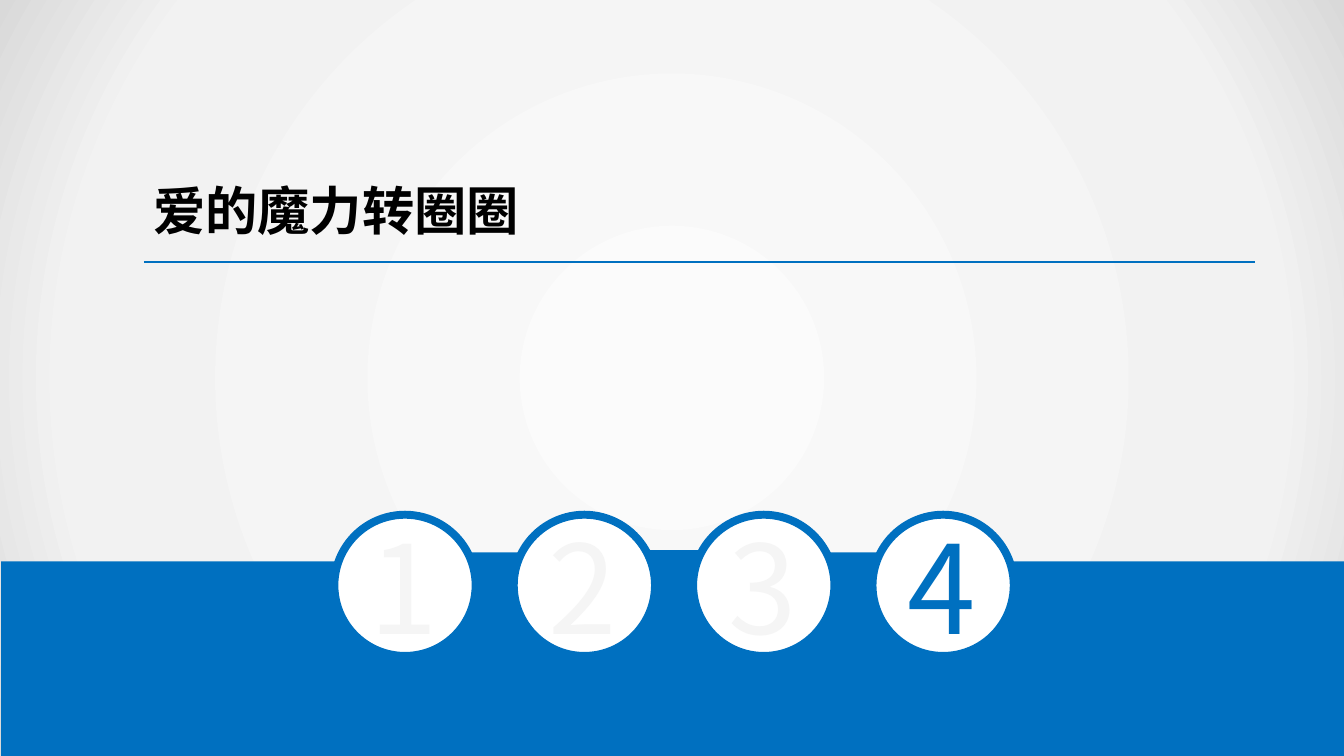
from dataclasses import dataclass
from pptx import Presentation, oxml, util as u
from pptx.dml.color import RGBColor
from pptx.enum import shapes, text
from pptx.oxml import ns


@dataclass
class Theme:
    blue = RGBColor.from_string("0070C0")
    white = RGBColor.from_string("FFFFFF")
    black = RGBColor.from_string("000000")
    pale = RGBColor.from_string("F5F5F5")
    base = RGBColor.from_string("F2F2F2")
    glow = ((0, "FBFBFB"), (79, "F2F2F2"), (100, "D9D9D9"))
    face = "Noto Sans CJK SC"
    title = u.Pt(28)
    digit = u.Pt(66)


def shape(kind, box, fill, line=None, width=0):
    item = slide.shapes.add_shape(kind, *map(u.Cm, box))
    item.shadow.inherit = False
    item.fill.solid()
    item.fill.fore_color.rgb = fill
    if line is None:
        item.line.fill.background()
    else:
        item.line.color.rgb = line
        item.line.width = u.Pt(width)
    return item


def label(words, box, color, font, frame):
    item = slide.shapes.add_textbox(*map(u.Cm, box))
    for name, value in frame.items():
        setattr(item.text_frame, name, value)
    run = item.text_frame.paragraphs[0].add_run()
    run.text = words
    for name, value in font.items():
        setattr(run.font, name, value)
    run.font.color.rgb = color
    east = oxml.parse_xml(f'<a:ea {ns.nsdecls("a")} typeface="{Theme.face}"/>')
    run.font._element.append(east)


wide, high = 25.4, 14.29
deck = Presentation()
deck.slide_width, deck.slide_height = u.Cm(wide), u.Cm(high)
slide = deck.slides.add_slide(deck.slide_layouts[6])
slide.background.fill.solid()
slide.background.fill.fore_color.rgb = Theme.base

rect, oval = shapes.MSO_SHAPE.RECTANGLE, shapes.MSO_SHAPE.OVAL
back = shape(rect, (0, 0, wide, high), Theme.base)
stops = "".join(
    f'<a:gs pos="{pos * 1000}"><a:srgbClr val="{color}"/></a:gs>'
    for pos, color in Theme.glow
)
glow = oxml.parse_xml(
    f'<a:gradFill {ns.nsdecls("a")} rotWithShape="1"><a:gsLst>{stops}</a:gsLst>'
    '<a:path path="circle"><a:fillToRect l="50000" t="50000" r="50000" b="50000"/>'
    "</a:path></a:gradFill>"
)
props = back._element.spPr
props.replace(props.find(ns.qn("a:solidFill")), glow)

left, top, size, pitch = 6.32, 9.73, 2.67, 3.39
joint = 1.19
for i in range(3):
    mid = left + (size + pitch) / 2 + i * pitch
    edge = {"line": Theme.blue, "width": 2} if i == 1 else {}
    shape(rect, (mid - joint / 2, 10.44, joint, 1.04), Theme.blue, **edge)

shape(rect, (0.02, 10.61, wide, high - 10.61), Theme.blue)
for i in range(4):
    shape(oval, (left + i * pitch, top, size, size), Theme.white, Theme.blue, 4.25)

label(
    "爱的魔力转圈圈",
    (2.72, 2.95, 10.77, 2.01),
    Theme.black,
    {"name": Theme.face, "size": Theme.title, "bold": True},
    {
        "word_wrap": True,
        "vertical_anchor": text.MSO_ANCHOR.MIDDLE,
        "margin_left": u.Cm(0.18),
        "margin_right": u.Cm(0.18),
        "margin_top": u.Cm(0.1),
        "margin_bottom": u.Cm(0.1),
    },
)

rule = slide.shapes.add_connector(
    shapes.MSO_CONNECTOR.STRAIGHT, *map(u.Cm, (2.72, 4.95, 23.72, 4.95))
)
rule.line.color.rgb = Theme.blue
rule.line.width = u.Pt(1.25)
rule._element.spPr.append(oxml.parse_xml(f'<a:effectLst {ns.nsdecls("a")}/>'))

for i in range(4):
    label(
        str(i + 1),
        (6.73 + i * pitch, 9.55, 1.78, 3.07),
        Theme.blue if i == 3 else Theme.pale,
        {"name": Theme.face, "size": Theme.digit},
        {"word_wrap": False, "auto_size": text.MSO_AUTO_SIZE.SHAPE_TO_FIT_TEXT},
    )

deck.save("out.pptx")
